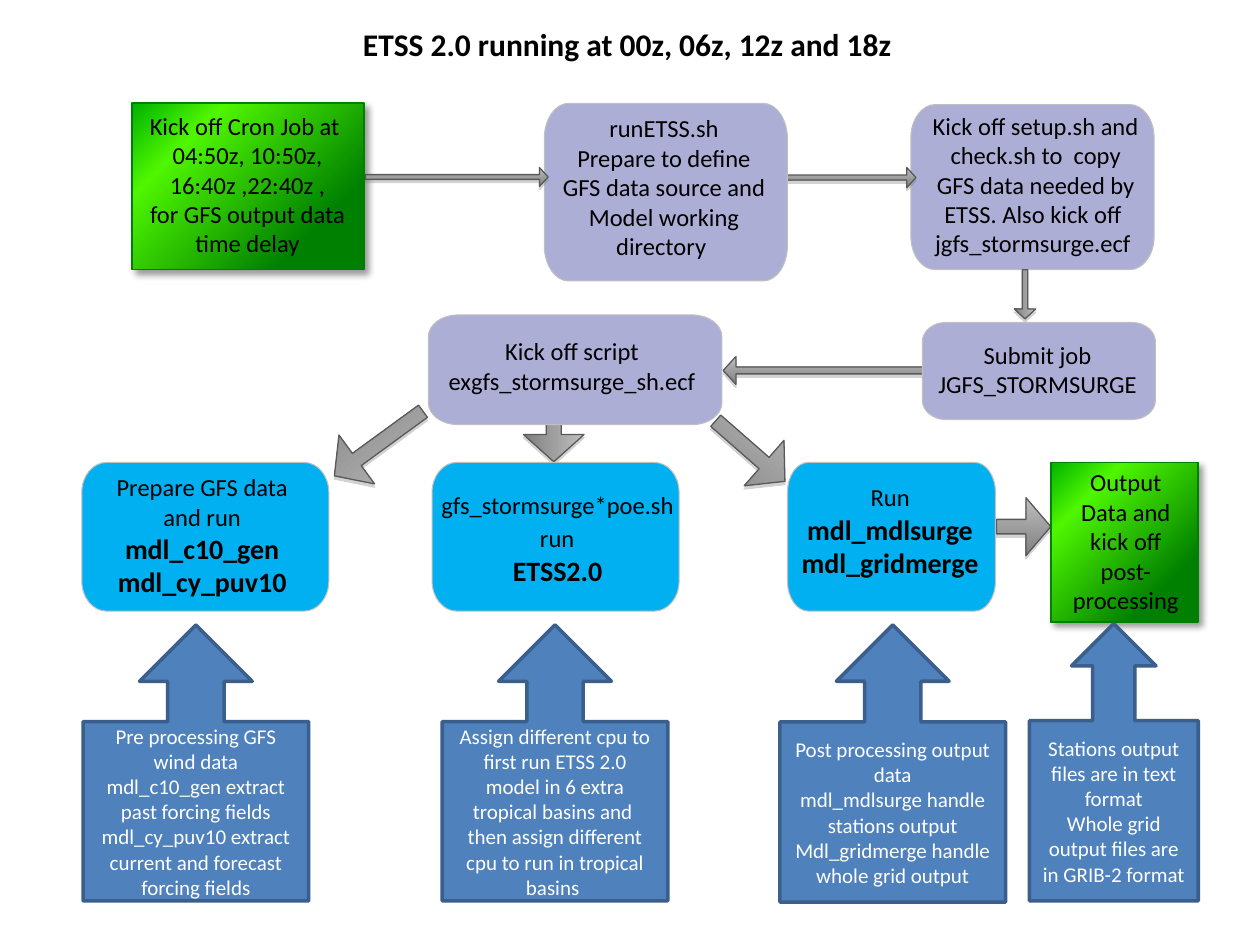
"""Build the ETSS 2.0 run schedule flow slide."""
import pptx
import pptx.util
import pptx.oxml
import pptx.oxml.ns
import pptx.dml.color
import pptx.enum.shapes
import pptx.enum.text

Inches = pptx.util.Inches
Pt = pptx.util.Pt
KIND = pptx.enum.shapes.MSO_SHAPE
ANCHOR = pptx.enum.text.MSO_ANCHOR
CENTER = pptx.enum.text.PP_ALIGN.CENTER
SPACE = pptx.oxml.ns.nsdecls("a")

HEX = {"black": "000000", "white": "FFFFFF", "lilac": "ADAED6",
       "cyan": "00B0F0", "rim": "C0C0C0", "blue": "4F81BD",
       "navy": "3A5F8C", "green": "008000", "lime": "4FF600",
       "leaf": "00B300", "pale": "BFBFBF", "gray": "7F7F7F",
       "dark": "595959", "shade": "808080"}

TITLE = "ETSS 2.0 running at 00z, 06z, 12z and 18z"

SETUP = ("lilac", (7.23, 0.83, 1.93, 1.31))
STEPS = [
    ("lilac", (3.4, 2.5, 2.33, 0.87)),
    ("lilac", (4.32, 0.82, 1.93, 1.41)),
    ("lilac", (7.32, 2.56, 1.85, 0.77)),
    ("cyan", (0.65, 3.67, 1.96, 1.18)),
    ("cyan", (3.43, 3.67, 1.96, 1.18)),
    ("cyan", (6.25, 3.67, 1.65, 1.18)),
]
ENDS = [(1.05, 0.82, 1.84, 1.32), (8.34, 3.67, 1.17, 1.27)]

BACK = [
    ((4.16, 3.19, 0.47, 0.48), 90, False),
    ((7.91, 3.95, 0.43, 0.46), 0, False),
    ((5.74, 2.83, 1.6, 0.22), 0, True),
    ((5.74, 1.33, 1.53, 0.16), 0, False),
    ((7.94, 2.25, 0.39, 0.17), 90, False),
]
FRONT = [
    ((2.9, 1.33, 1.45, 0.15), 0, False),
    ((5.59, 3.34, 0.73, 0.48), 41.2, False),
    ((2.57, 3.28, 0.87, 0.48), 143.9, False),
]

BODY, BIG, BOLD = (14, False), (16, False), (16, True)
LABELS = [
    ((4.33, 0.85, 1.88, 1.31), [
        [("runETSS.sh", BODY)],
        [("Prepare to define GFS data source and Model working directory ", BODY)]]),
    ((7.28, 0.83, 1.88, 1.28), [
        [("Kick off setup.sh and check.sh to  copy GFS data needed by ETSS. "
          "Also kick off  jgfs_stormsurge.ecf ", BODY)]]),
    ((1.06, 0.83, 1.81, 1.28), [
        [("Kick off Cron Job at ", BODY)],
        [("04:50z, 10:50z, 16:40z ,22:40z ,", BODY)],
        [("for GFS output data time delay", BODY)]]),
    ((7.31, 2.65, 1.85, 0.57), [[("Submit job JGFS_STORMSURGE", BODY)]]),
    ((3.38, 2.62, 2.32, 0.57), [
        [("Kick off script exgfs_stormsurge_sh.ecf", BODY)]]),
    ((0.67, 3.7, 1.87, 1.11), [
        [("Prepare GFS data and run ", BODY), ("mdl_c10_gen mdl_cy_puv10", BOLD)]]),
    ((3.4, 3.84, 2.05, 0.88), [
        [("gfs_stormsurge*poe.sh  run", BODY), (" ", BOLD)],
        [("ETSS2.0", BOLD)]]),
    ((6.2, 3.75, 1.73, 0.91), [
        [("Run", BODY), (" ", BIG), ("mdl_mdlsurge", BOLD)],
        [("mdl_gridmerge", BOLD)]]),
    ((8.35, 3.66, 1.17, 1.51), [
        [("Output Data and kick off post-processing", BODY)]]),
]

NOTES = [
    ((0.66, 4.96, 1.79, 2.19), [
        "Pre processing GFS wind data",
        "mdl_c10_gen extract past forcing fields",
        "mdl_cy_puv10 extract current and forecast forcing fields"]),
    ((3.51, 4.96, 1.79, 2.19), [
        "Assign different cpu to first run ETSS 2.0 model in 6 extra tropical "
        "basins and  then assign different cpu to run in tropical basins "]),
    ((6.19, 4.96, 1.79, 2.2), [
        "Post processing output data",
        "mdl_mdlsurge handle stations output",
        "Mdl_gridmerge handle whole grid output"]),
    ((8.17, 4.95, 1.34, 2.2), [
        "Stations output files are in text format",
        "Whole grid output files are in GRIB-2 format"]),
]


def color(name):
    return pptx.dml.color.RGBColor.from_string(HEX[name])


def place(box):
    return [Inches(v) for v in box]


def paint(shape, fill, line, width):
    shape.shadow.inherit = False
    shape.fill.solid()
    shape.fill.fore_color.rgb = color(fill)
    shape.line.color.rgb = color(line)
    shape.line.width = Pt(width)


def blend(shape, stops, angle, shadow):
    parts = "".join(f'<a:gs pos="{pos * 1000}"><a:srgbClr val="{HEX[name]}"/></a:gs>'
                    for pos, name in stops)
    grad = pptx.oxml.parse_xml(
        f'<a:gradFill {SPACE} rotWithShape="1"><a:gsLst>{parts}</a:gsLst>'
        f'<a:lin ang="{angle * 60000}" scaled="0"/></a:gradFill>')
    name, alpha, blur, dist, turn = shadow
    cast = pptx.oxml.parse_xml(
        f'<a:outerShdw {SPACE} blurRad="{Pt(blur)}" dist="{Pt(dist)}" '
        f'dir="{turn * 60000}" rotWithShape="0"><a:srgbClr val="{HEX[name]}">'
        f'<a:alpha val="{alpha * 1000}"/></a:srgbClr></a:outerShdw>')
    props = shape._element.spPr
    solid = props.find(pptx.oxml.ns.qn("a:solidFill"))
    props.replace(solid, grad)
    props.find(pptx.oxml.ns.qn("a:effectLst")).append(cast)


def write(frame, paras, tint="black"):
    frame.word_wrap = True
    for num, runs in enumerate(paras):
        para = frame.paragraphs[0] if num == 0 else frame.add_paragraph()
        para.alignment = CENTER
        for text, (size, bold) in runs:
            run = para.add_run()
            run.text = text
            run.font.name = "Calibri"
            run.font.size = Pt(size)
            run.font.bold = bold
            run.font.color.rgb = color(tint)


def bend(shape):
    tag = pptx.oxml.ns.qn("a:pt")
    dots = list(shape._element.spPr.iter(tag))
    spots = [(int(dot.get("x")), int(dot.get("y"))) for dot in dots]
    for num in range(0, 8, 2):
        (ax, ay), (bx, by) = spots[num], spots[num + 1]
        cx, cy = (bx, ay) if num % 4 == 0 else (ax, by)
        curve = [(ax + 0.55 * (cx - ax), ay + 0.55 * (cy - ay)),
                 (bx + 0.55 * (cx - bx), by + 0.55 * (cy - by)), (bx, by)]
        parts = "".join(f'<a:pt x="{round(x)}" y="{round(y)}"/>' for x, y in curve)
        old = dots[num + 1].getparent()
        old.getparent().replace(old, pptx.oxml.parse_xml(
            f"<a:cubicBezTo {SPACE}>{parts}</a:cubicBezTo>"))


def step(shapes, fill, box):
    left, top, wide, high = box
    right, base = left + wide, top + high
    rx, ry = 0.1 * wide, 0.2 * high
    dots = [place(dot) for dot in (
        (right - rx, base), (right, base - ry), (right, top + ry), (right - rx, top),
        (left + rx, top), (left, top + ry), (left, base - ry), (left + rx, base))]
    pen = shapes.build_freeform(*dots[0])
    pen.add_line_segments(dots[1:] + dots[:1], close=True)
    shape = pen.convert_to_shape()
    bend(shape)
    paint(shape, fill, "rim", 0.6)


def arrow(shapes, box, turn, flip):
    shape = shapes.add_shape(KIND.RIGHT_ARROW, *place(box))
    shape.adjustments[0], shape.adjustments[1] = 0.25, 0.458
    shape.rotation = turn
    if flip:
        shape._element.spPr.xfrm.set("flipH", "1")
    paint(shape, "gray", "dark", 0.75)
    blend(shape, [(0, "pale"), (100, "gray")], 90, ("shade", 35, 0, 1.8, 90))


def main():
    deck = pptx.Presentation()
    deck.slide_width, deck.slide_height = Inches(10), Inches(7.5)
    slide = deck.slides.add_slide(deck.slide_layouts[5])
    shapes = slide.shapes
    head = shapes.title
    head.left, head.top, head.width, head.height = place((2.48, 0.15, 5, 0.4))
    head.text_frame.vertical_anchor = ANCHOR.TOP
    write(head.text_frame, [[(TITLE, (18, True))]])
    step(shapes, *SETUP)
    for item in BACK:
        arrow(shapes, *item)
    for item in STEPS:
        step(shapes, *item)
    for box in ENDS:
        shape = shapes.add_shape(KIND.RECTANGLE, *place(box))
        paint(shape, "green", "green", 1)
        blend(shape, [(22, "green"), (77, "lime"), (100, "leaf")], 225,
              ("black", 40, 4, 3, 45))
    for item in FRONT:
        arrow(shapes, *item)
    for box, paras in LABELS:
        write(shapes.add_textbox(*place(box)).text_frame, paras)
    for box, lines in NOTES:
        shape = shapes.add_shape(KIND.UP_ARROW_CALLOUT, *place(box))
        paint(shape, "blue", "navy", 2)
        shape.text_frame.vertical_anchor = ANCHOR.MIDDLE
        write(shape.text_frame, [[(text, (12, False))] for text in lines], "white")
    deck.save("out.pptx")


if __name__ == "__main__":
    main()
